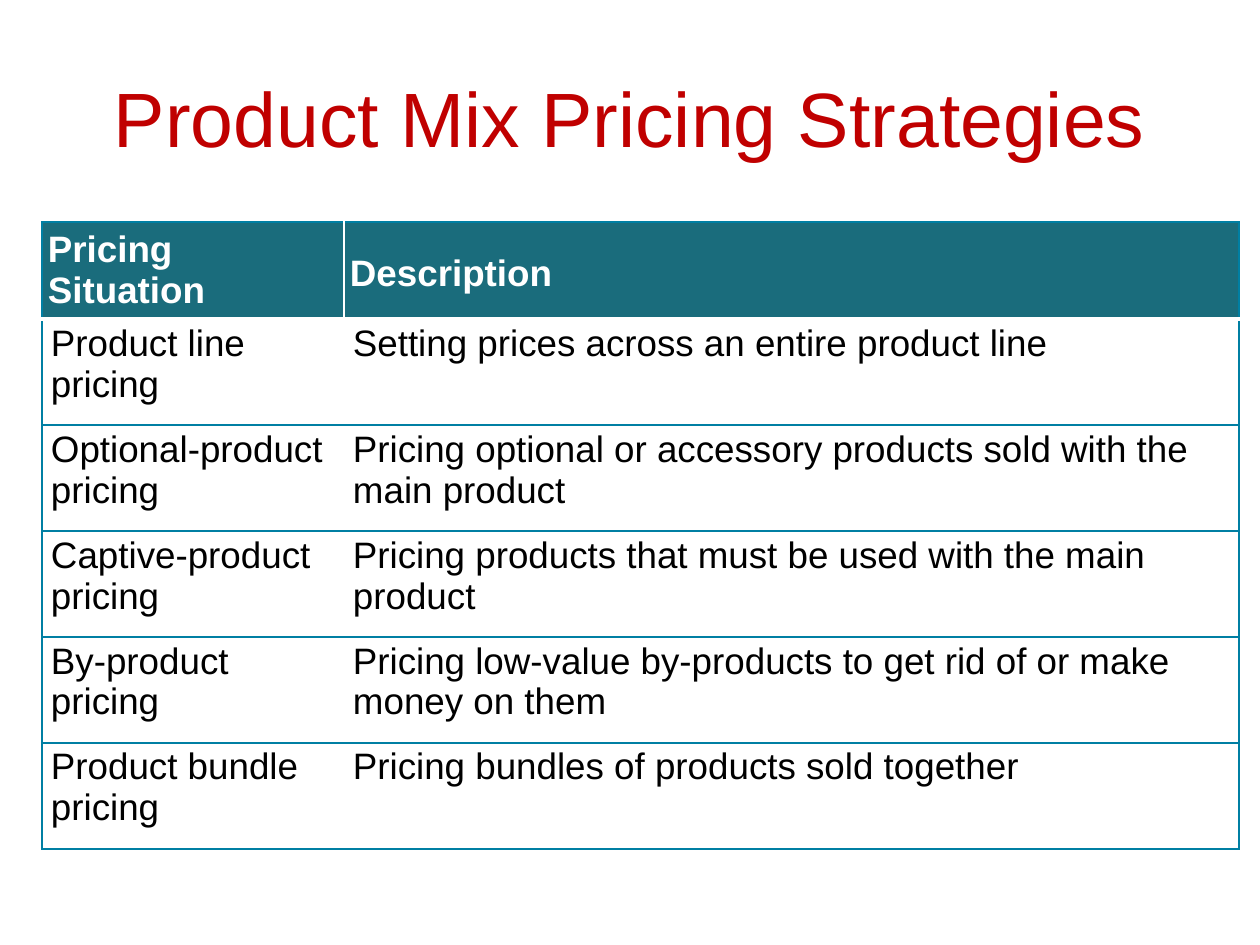
"""Build the slide on product mix pricing strategies."""
from dataclasses import dataclass

from lxml import etree
from pptx import Presentation
from pptx.dml.color import RGBColor
from pptx.enum.text import MSO_ANCHOR, PP_ALIGN
from pptx.oxml.ns import qn
from pptx.util import Emu, Pt

MIDDLE, TOP = MSO_ANCHOR.MIDDLE, MSO_ANCHOR.TOP
CENTER = PP_ALIGN.CENTER
TITLE_ONLY = 5
SCALE = 914400 / 126
FONT = "Arial"
COLORS = {
    "title": "C00000",
    "header": "1A6C7C",
    "rule": "007FA3",
    "white": "FFFFFF",
    "text": "000000",
}


@dataclass(frozen=True)
class CellStyle:
    fill: str
    text: str
    bold: bool
    anchor: MSO_ANCHOR
    margin_x: int
    margin_y: int


@dataclass(frozen=True)
class Border:
    color: str
    points: float = 1


HEADER = CellStyle("header", "white", True, MIDDLE, 6, 0)
BODY = CellStyle("white", "text", False, TOP, 9, 4)
RULE, GAP, HEADER_GAP = Border("rule"), Border("white"), Border("white", 3)

PRICING_ROWS = [
    ("Pricing Situation", "Description"),
    ("Product line pricing", "Setting prices across an entire product line"),
    ("Optional-product pricing",
     "Pricing optional or accessory products sold with the main product"),
    ("Captive-product pricing",
     "Pricing products that must be used with the main product"),
    ("By-product pricing",
     "Pricing low-value by-products to get rid of or make money on them"),
    ("Product bundle pricing", "Pricing bundles of products sold together"),
]
COLUMN_WIDTHS = (302, 895)
ROW_HEIGHTS = (97,) + (106,) * (len(PRICING_ROWS) - 1)


def px(pixels: int) -> Emu:
    return Emu(round(pixels * SCALE))


def rgb(name: str) -> RGBColor:
    return RGBColor.from_string(COLORS[name])


def set_font(paragraph, size: float, color: str, bold: bool = False) -> None:
    font = paragraph.font
    font.name, font.size, font.bold = FONT, Pt(size), bold
    font.color.rgb = rgb(color)


def add_borders(cell, borders: dict[str, Border]) -> None:
    properties = cell._tc.get_or_add_tcPr()
    for side, border in borders.items():
        line = etree.SubElement(properties, qn(f"a:ln{side}"), w=str(Pt(border.points)))
        fill = etree.SubElement(line, qn("a:solidFill"))
        etree.SubElement(fill, qn("a:srgbClr"), val=COLORS[border.color])


def fill_cell(cell, wording: str, style: CellStyle) -> None:
    cell.fill.solid()
    cell.fill.fore_color.rgb = rgb(style.fill)
    cell.vertical_anchor = style.anchor
    cell.margin_left = cell.margin_right = px(style.margin_x)
    cell.margin_top = cell.margin_bottom = px(style.margin_y)
    cell.text = wording
    set_font(cell.text_frame.paragraphs[0], 21, style.text, style.bold)


def add_title(slide, wording: str) -> None:
    title = slide.shapes.title
    title.left, title.top, title.width, title.height = map(px, (63, 38, 1134, 158))
    title.text_frame.text = wording
    title.text_frame.vertical_anchor = MIDDLE
    heading = title.text_frame.paragraphs[0]
    heading.alignment = CENTER
    set_font(heading, 44, "title")


def add_pricing_table(slide) -> None:
    table = slide.shapes.add_table(
        len(PRICING_ROWS), len(COLUMN_WIDTHS), px(42), px(222),
        px(sum(COLUMN_WIDTHS)), px(sum(ROW_HEIGHTS))).table
    table.horz_banding = False
    for column, width in zip(table.columns, COLUMN_WIDTHS):
        column.width = px(width)
    for row, height in zip(table.rows, ROW_HEIGHTS):
        row.height = px(height)
    for r, wordings in enumerate(PRICING_ROWS):
        for c, wording in enumerate(wordings):
            cell = table.cell(r, c)
            add_borders(cell, {
                "L": RULE if c == 0 else GAP,
                "R": GAP if c == 0 else RULE,
                "T": HEADER_GAP if r == 1 else RULE,
                "B": HEADER_GAP if r == 0 else RULE,
            })
            fill_cell(cell, wording, HEADER if r == 0 else BODY)
    table.cell(0, 1).text_frame.paragraphs[0].line_spacing = 1.15


presentation = Presentation()
presentation.slide_width, presentation.slide_height = px(1260), px(945)
pricing_slide = presentation.slides.add_slide(presentation.slide_layouts[TITLE_ONLY])
add_title(pricing_slide, "Product Mix Pricing Strategies")
add_pricing_table(pricing_slide)
presentation.save("out.pptx")
